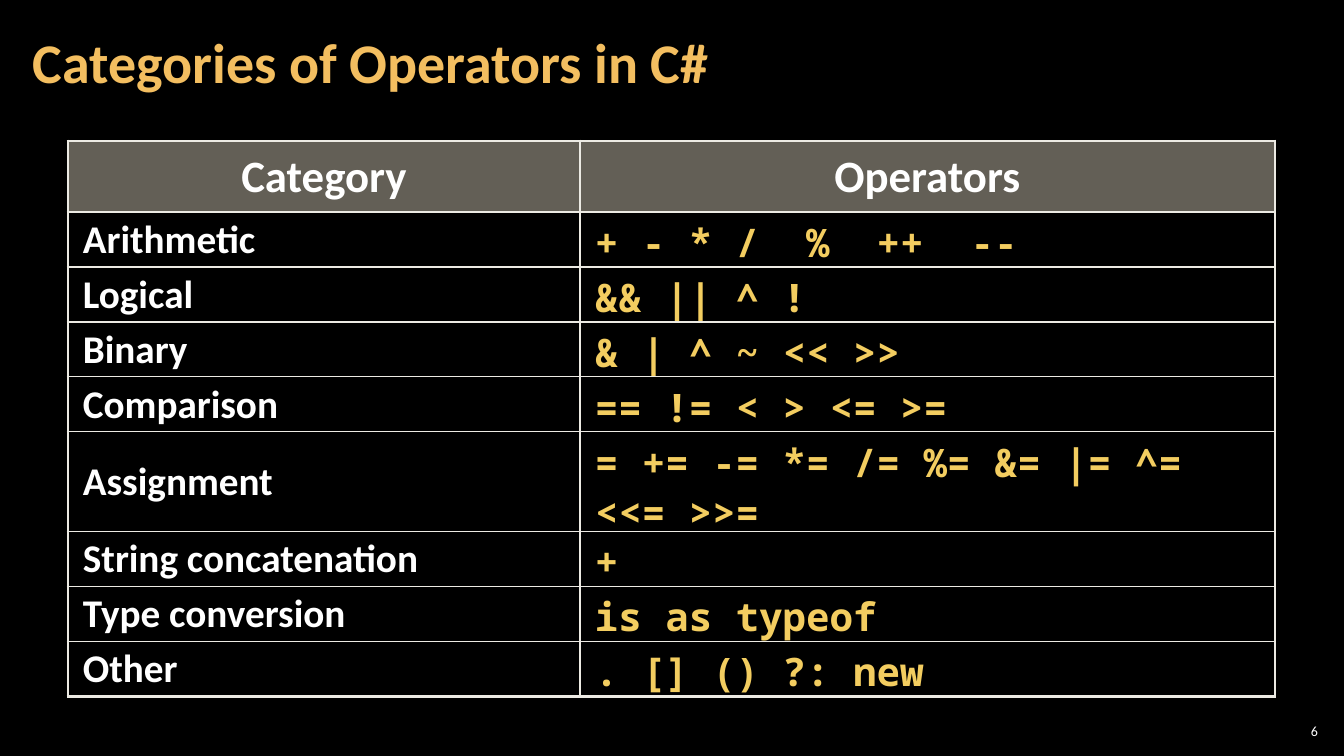
"""Build a slide with a table of the operator categories in C#."""
from lxml import etree
from pptx import Presentation
from pptx.dml.color import RGBColor
from pptx.enum.text import MSO_ANCHOR, PP_ALIGN
from pptx.oxml.ns import qn
from pptx.util import Emu, Pt

PX = 914400 / 100.8
MIDDLE = MSO_ANCHOR.MIDDLE
LEFT, CENTER, RIGHT = PP_ALIGN.LEFT, PP_ALIGN.CENTER, PP_ALIGN.RIGHT

BLACK = RGBColor(0x00, 0x00, 0x00)
WHITE = RGBColor(0xFF, 0xFF, 0xFF)
ORANGE = RGBColor(0xF3, 0xBE, 0x60)
YELLOW = RGBColor(0xF3, 0xCD, 0x60)
TAUPE = RGBColor(0xC7, 0xBF, 0xAC)
IVORY = RGBColor(0xEC, 0xEA, 0xE3)

THICK, THIN = Pt(2.25), Pt(1)
BODY, CODE = "Calibri", "Noto Sans Mono"

ROWS = [
    ("Category", "Operators"),
    ("Arithmetic", "+ - * /  %  ++  --"),
    ("Logical", "&& || ^ !"),
    ("Binary", "& | ^ ~ << >>"),
    ("Comparison", "== != < > <= >="),
    ("Assignment", "= += -= *= /= %= &= |= ^= <<= >>="),
    ("String concatenation", "+"),
    ("Type conversion", "is as typeof"),
    ("Other", ". [] () ?: new"),
]
COLUMN_WIDTHS = [512, 695]
ROW_HEIGHTS = [71, 55, 55, 55, 55, 99, 55, 55, 55]


def px(length):
    return Emu(round(length * PX))


def write(frame, text, font, size, color, bold, align, spacing):
    frame.word_wrap = True
    para = frame.paragraphs[0]
    para.text = text
    para.alignment = align
    para.line_spacing = spacing
    para.font.name = font
    para.font.size = Pt(size)
    para.font.bold = bold
    para.font.color.rgb = color
    return para


deck = Presentation()
deck.slide_width, deck.slide_height = px(1344), px(756)
page = deck.slides.add_slide(deck.slide_layouts[6])
page.background.fill.solid()
page.background.fill.fore_color.rgb = BLACK

for bounds, inset, text, size, color, bold, align, spacing in [
    ((21, 4, 1055, 122), 12, "Categories of Operators in C#", 40, ORANGE, True, LEFT, 0.9),
    ((1275, 720, 47, 21), 4, "6", 10, WHITE, False, RIGHT, 1.0),
]:
    box = page.shapes.add_textbox(*map(px, bounds))
    frame = box.text_frame
    frame.vertical_anchor = MIDDLE
    frame.margin_left = frame.margin_right = px(inset)
    frame.margin_top = frame.margin_bottom = px(4)
    write(frame, text, BODY, size, color, bold, align, spacing)

table = page.shapes.add_table(
    len(ROWS), len(COLUMN_WIDTHS), px(68), px(141),
    px(sum(COLUMN_WIDTHS)), px(sum(ROW_HEIGHTS)),
).table
table.first_row = table.horz_banding = False
for column, width in zip(table.columns, COLUMN_WIDTHS):
    column.width = px(width)
for row, height in zip(table.rows, ROW_HEIGHTS):
    row.height = px(height)

last = len(ROWS) - 1
for row_index, texts in enumerate(ROWS):
    header = row_index == 0
    for column_index, text in enumerate(texts):
        cell = table.cell(row_index, column_index)
        cell.vertical_anchor = MIDDLE
        cell.margin_left = cell.margin_right = px(15)
        cell.margin_top = cell.margin_bottom = px(5)
        is_code = column_index == 1 and not header
        para = write(
            cell.text_frame, text, CODE if is_code else BODY, 32 if header else 28,
            YELLOW if is_code else WHITE, True, CENTER if header else LEFT, 0.95,
        )
        para.space_before = Pt(0)
        before = para._p.pPr.find(qn("a:spcBef"))
        before.remove(before[0])
        etree.SubElement(before, qn("a:spcPct"), val="40000")

        properties = cell._tc.get_or_add_tcPr()
        for side, thick in [
            ("L", column_index == 0),
            ("R", column_index == 1),
            ("T", row_index <= 1),
            ("B", row_index in (0, last)),
        ]:
            line = etree.SubElement(properties, qn(f"a:ln{side}"), w=str(THICK if thick else THIN))
            paint = etree.SubElement(line, qn("a:solidFill"))
            etree.SubElement(paint, qn("a:srgbClr"), val=str(IVORY))

        if header:
            cell.fill.solid()
            cell.fill.fore_color.rgb = TAUPE
            tint = properties.find(qn("a:solidFill")).find(qn("a:srgbClr"))
            etree.SubElement(tint, qn("a:alpha"), val="50000")
        else:
            cell.fill.background()

deck.save("out.pptx")
